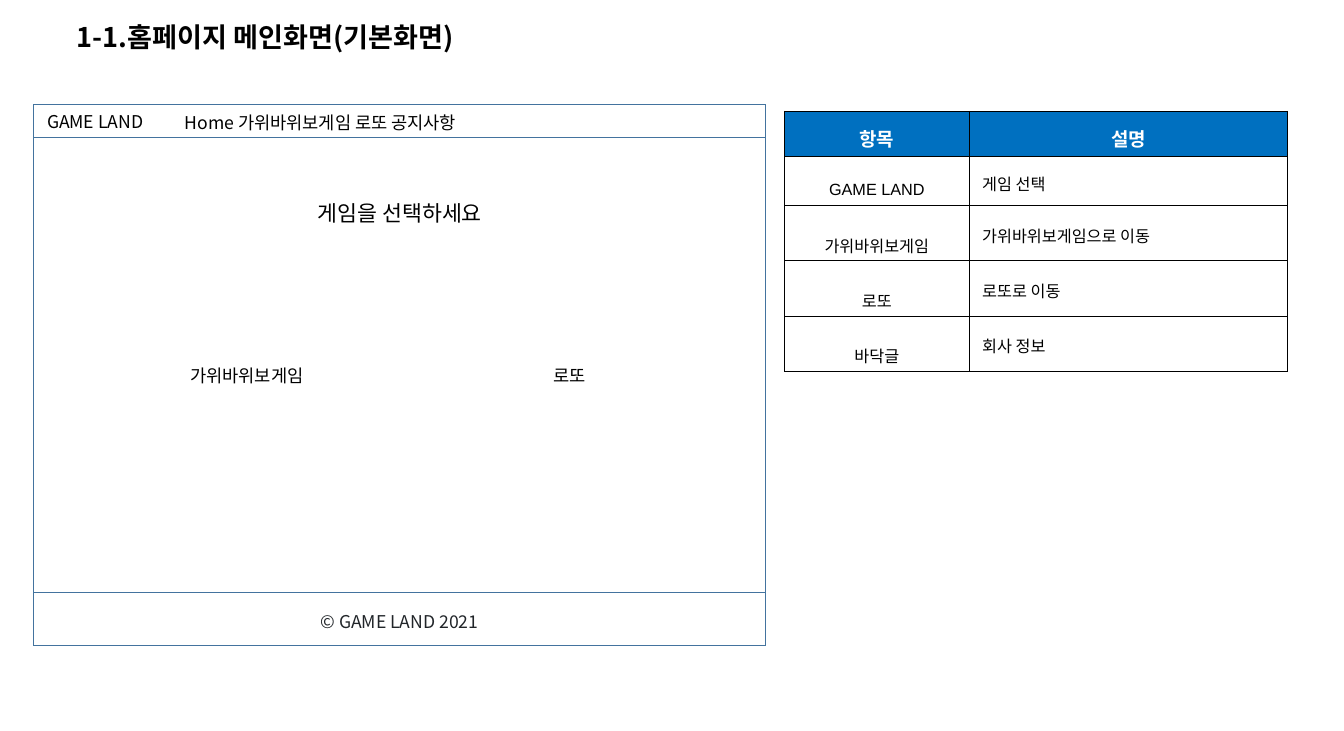
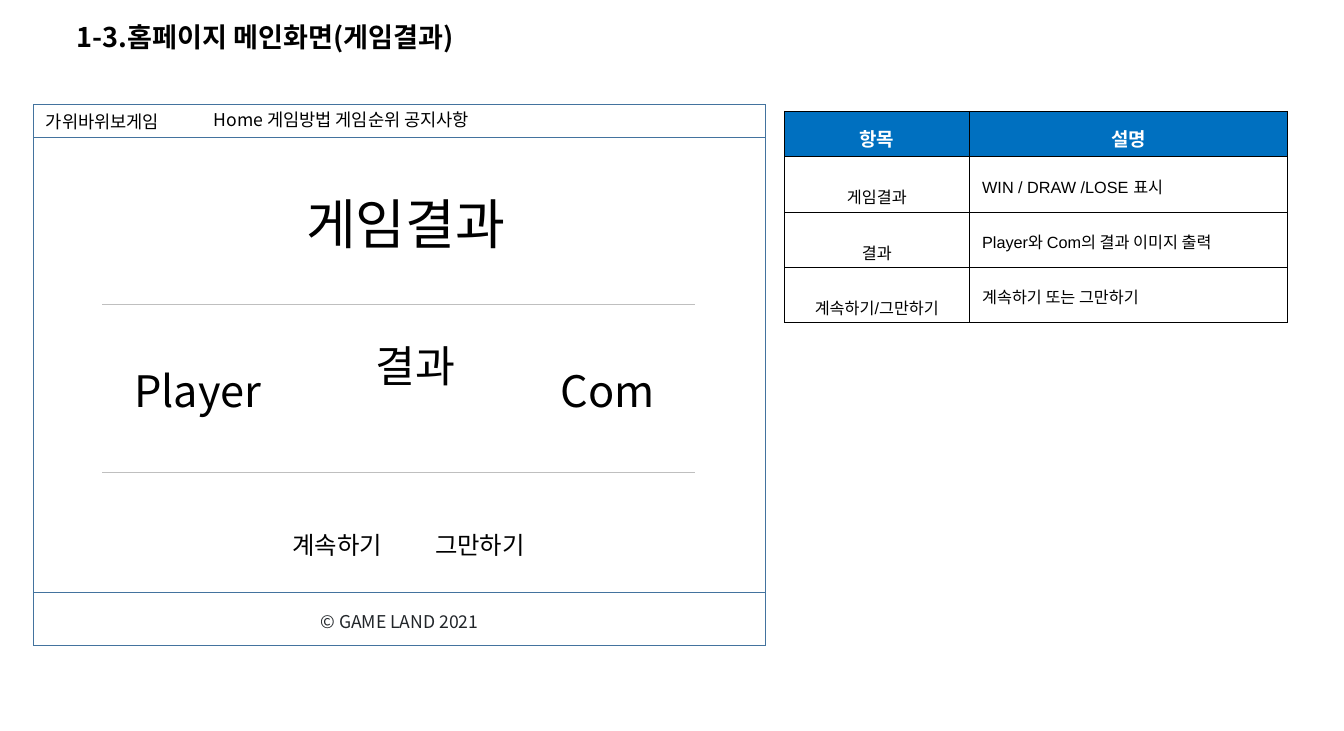
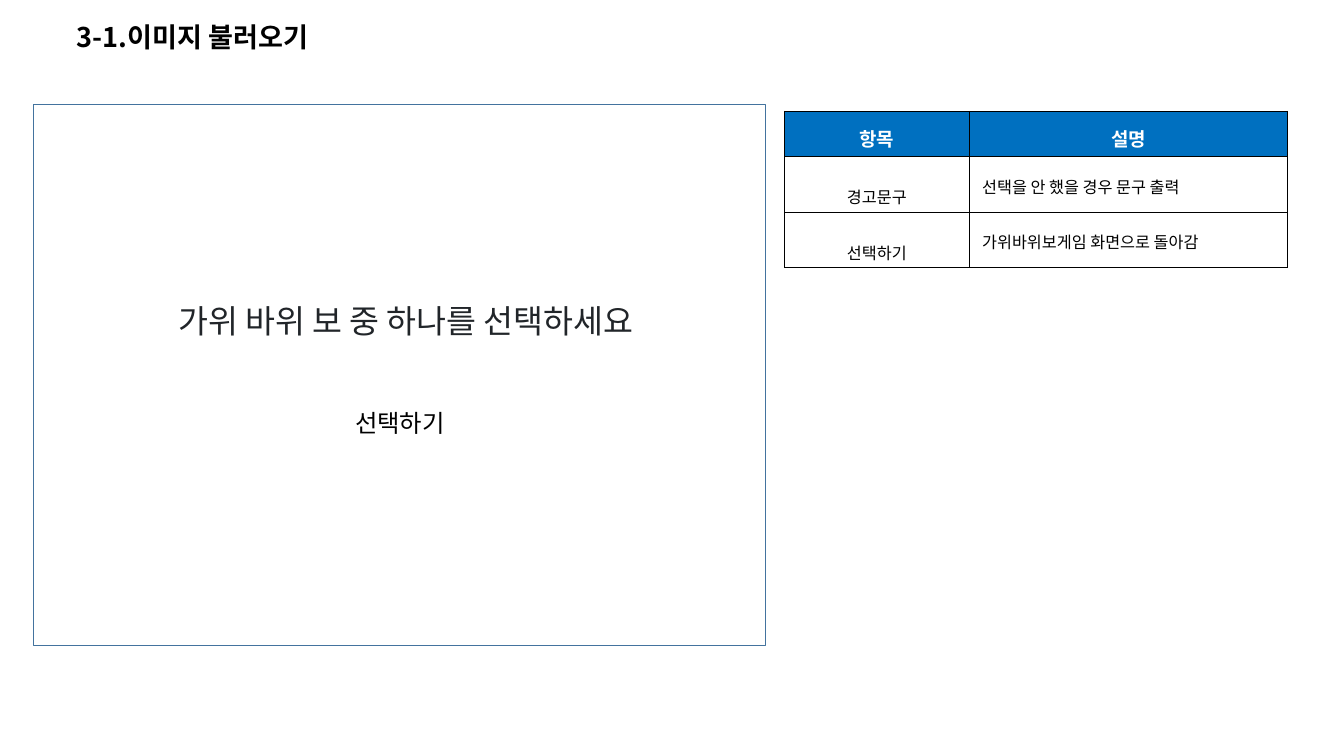
from dataclasses import dataclass

from lxml import etree
from pptx import Presentation
from pptx.dml.color import RGBColor
from pptx.enum.shapes import MSO_CONNECTOR, MSO_SHAPE
from pptx.enum.text import MSO_ANCHOR, MSO_AUTO_SIZE, PP_ALIGN
from pptx.oxml.ns import qn
from pptx.util import Emu, Inches, Pt

CENTER, LEFT = PP_ALIGN.CENTER, PP_ALIGN.LEFT
MIDDLE, TOP = MSO_ANCHOR.MIDDLE, MSO_ANCHOR.TOP
FIT_SHAPE = MSO_AUTO_SIZE.SHAPE_TO_FIT_TEXT
RECTANGLE, STRAIGHT = MSO_SHAPE.RECTANGLE, MSO_CONNECTOR.STRAIGHT

SLIDE_WIDTH, SLIDE_HEIGHT = Inches(13.78), Inches(7.5)


# Shared look
@dataclass(frozen=True)
class Theme:
    font: str = "Noto Sans CJK KR"
    table_font: str = "Arial"
    black: str = "000000"
    white: str = "FFFFFF"
    ink: str = "212529"
    header: str = "0070C0"
    frame: str = "43739E"
    divider: str = "BFBFBF"
    title: float = 20
    small: float = 13
    prompt: float = 16
    button: float = 18
    question: float = 24
    score: float = 32
    result: float = 40
    table_head: float = 14
    table_body: float = 12
    frame_line: float = 1
    divider_line: float = 0.5
    cell_line: float = 0.25


THEME = Theme()


# Slide grid: 100 columns by 100 rows
def across(columns: float) -> Emu:
    return Emu(round(SLIDE_WIDTH * columns / 100))


def down(rows: float) -> Emu:
    return Emu(round(SLIDE_HEIGHT * rows / 100))


@dataclass(frozen=True)
class Area:
    left: float
    top: float
    width: float
    height: float

    def lengths(self) -> tuple[Emu, Emu, Emu, Emu]:
        return across(self.left), down(self.top), across(self.width), down(self.height)


@dataclass(frozen=True)
class Label:
    text: str
    left: float
    top: float
    width: float
    size: float = THEME.small
    color: str = THEME.black
    wrap: bool = True


@dataclass(frozen=True)
class Screen:
    title: str
    labels: tuple[Label, ...]
    items: tuple[tuple[str, str], ...]
    bars: bool = True
    dividers: tuple[float, ...] = ()


TITLE = Area(5, 2.8, 86.28, 5.07)
FRAME = Area(2.47, 14.27, 54.5, 74)
MENU_BAR = Area(FRAME.left, FRAME.top, FRAME.width, 4.53)
FOOTER_BAR = Area(FRAME.left, 81.07, FRAME.width, 7.2)
FOOTER = Label("© GAME LAND 2021", FRAME.left, 82.93, FRAME.width, color=THEME.ink)
DIVIDER_LEFT, DIVIDER_RIGHT = 7.62, 51.74
TABLE_LEFT, TABLE_TOP = 58.35, 15.2
TABLE_COLUMNS = (13.79, 23.66)
TABLE_HEADINGS = ("항목", "설명")
LOW_ROW, HIGH_ROW = 6.22, 7.55
CELL_MARGIN_X, CELL_MARGIN_Y = 0.94, 0.67


# Drawing functions
def write_text(frame, text: str, *, size: float, color: str, font: str = THEME.font,
               bold: bool = False, align: PP_ALIGN = LEFT, spacing: float = 1.0,
               before: int = 0, after: int = 0) -> None:
    """Write one paragraph; before and after are percentages of a line."""
    para = frame.paragraphs[0]
    para.alignment = align
    para.line_spacing = spacing
    settings = para._p.get_or_add_pPr()
    for tag, percent in (("a:spcBef", before), ("a:spcAft", after)):
        gap = etree.SubElement(settings, qn(tag))
        etree.SubElement(gap, qn("a:spcPct"), val=str(percent * 1000))
    span = para.add_run()
    span.text = text
    span.font.size = Pt(size)
    span.font.bold = bold
    span.font.name = font
    span.font.color.rgb = RGBColor.from_string(color)
    etree.SubElement(span._r.get_or_add_rPr(), qn("a:ea"), typeface=THEME.font)


def add_title(page, text: str) -> None:
    frame = page.shapes.add_textbox(*TITLE.lengths()).text_frame
    frame.word_wrap = True
    frame.vertical_anchor = MIDDLE
    write_text(frame, text, size=THEME.title, color=THEME.black, bold=True, spacing=0.9)


def add_label(page, label: Label) -> None:
    height = Pt(label.size * 1.2) + Inches(0.1)
    box = page.shapes.add_textbox(across(label.left), down(label.top),
                                  across(label.width), height)
    frame = box.text_frame
    frame.word_wrap = label.wrap
    frame.auto_size = FIT_SHAPE
    frame.vertical_anchor = TOP
    write_text(frame, label.text, size=label.size, color=label.color,
               align=CENTER, before=30)


def add_outline(page, area: Area) -> None:
    box = page.shapes.add_shape(RECTANGLE, *area.lengths())
    box.shadow.inherit = False
    box.fill.background()
    box.line.color.rgb = RGBColor.from_string(THEME.frame)
    box.line.width = Pt(THEME.frame_line)


def add_divider(page, row: float) -> None:
    line = page.shapes.add_connector(STRAIGHT, across(DIVIDER_LEFT), down(row),
                                     across(DIVIDER_RIGHT), down(row))
    line.line.color.rgb = RGBColor.from_string(THEME.divider)
    line.line.width = Pt(THEME.divider_line)
    etree.SubElement(line._element.spPr, qn("a:effectLst"))


def style_cell(cell, fill: str) -> None:
    cell.vertical_anchor = MIDDLE
    cell.margin_left = cell.margin_right = across(CELL_MARGIN_X)
    cell.margin_top = cell.margin_bottom = down(CELL_MARGIN_Y)
    settings = cell._tc.get_or_add_tcPr()
    for side in ("a:lnL", "a:lnR", "a:lnT", "a:lnB"):
        border = etree.SubElement(settings, qn(side), w=str(Pt(THEME.cell_line)))
        paint = etree.SubElement(border, qn("a:solidFill"))
        etree.SubElement(paint, qn("a:srgbClr"), val=THEME.black)
    cell.fill.solid()
    cell.fill.fore_color.rgb = RGBColor.from_string(fill)


def add_item_table(page, items: tuple[tuple[str, str], ...]) -> None:
    # Rows named in Latin letters need less height
    heights = [LOW_ROW] + [LOW_ROW if name.isascii() else HIGH_ROW for name, _ in items]
    area = Area(TABLE_LEFT, TABLE_TOP, sum(TABLE_COLUMNS), sum(heights))
    table = page.shapes.add_table(len(heights), len(TABLE_COLUMNS), *area.lengths()).table
    table.horz_banding = False
    for column, width in zip(table.columns, TABLE_COLUMNS):
        column.width = across(width)
    for row, height in zip(table.rows, heights):
        row.height = down(height)

    for column, heading in enumerate(TABLE_HEADINGS):
        cell = table.cell(0, column)
        style_cell(cell, THEME.header)
        write_text(cell.text_frame, heading, size=THEME.table_head, color=THEME.white,
                   font=THEME.table_font, bold=True, align=CENTER, spacing=1.3, after=20)
    for row, item in enumerate(items, start=1):
        for column, (text, align, spacing) in enumerate(zip(item, (CENTER, LEFT), (2.0, 1.2))):
            cell = table.cell(row, column)
            style_cell(cell, THEME.white)
            write_text(cell.text_frame, text, size=THEME.table_body, color=THEME.black,
                       font=THEME.table_font, align=align, spacing=spacing, before=10)


def add_screen(deck, screen: Screen) -> None:
    page = deck.slides.add_slide(deck.slide_layouts[6])
    add_title(page, screen.title)
    add_item_table(page, screen.items)
    add_outline(page, FRAME)
    if screen.bars:
        add_outline(page, MENU_BAR)
        add_outline(page, FOOTER_BAR)
        add_label(page, FOOTER)
    for row in screen.dividers:
        add_divider(page, row)
    for label in screen.labels:
        add_label(page, label)


# Content
SCREENS = (
    Screen(
        title="1-1.홈페이지 메인화면(기본화면)",
        labels=(
            Label("GAME LAND", 2.47, 14.53, 9.22, wrap=False),
            Label("Home 가위바위보게임 로또 공지사항", 11.97, 14.67, 23.73, wrap=False),
            Label("게임을 선택하세요", 22.28, 26.67, 14.95, THEME.prompt, wrap=False),
            Label("가위바위보게임", 12.99, 49.2, 10.74, wrap=False),
            Label("로또", 40.28, 49.2, 4.14, wrap=False),
        ),
        items=(
            ("GAME LAND", "게임 선택"),
            ("가위바위보게임", "가위바위보게임으로 이동"),
            ("로또", "로또로 이동"),
            ("바닥글", "회사 정보"),
        ),
    ),
    Screen(
        title="1-3.홈페이지 메인화면(게임결과)",
        labels=(
            Label("가위바위보게임", 2.25, 14.53, 10.74, wrap=False),
            Label("Home 게임방법 게임순위 공지사항", 14.22, 14.27, 22.35, wrap=False),
            Label("게임결과", 12.99, 25.33, 34.4, THEME.result),
            Label("Player", 8.27, 49.2, 12.92, THEME.score),
            Label("Com", 38.75, 49.2, 12.92, THEME.score),
            Label("결과", 24.46, 45.73, 12.92, THEME.score),
            Label("계속하기", 19.59, 71.87, 11.03, THEME.button),
            Label("그만하기", 30.19, 71.87, 11.03, THEME.button),
        ),
        items=(
            ("게임결과", "WIN / DRAW /LOSE 표시"),
            ("결과", "Player와 Com의 결과 이미지 출력"),
            ("계속하기/그만하기", "계속하기 또는 그만하기"),
        ),
        dividers=(41.6, 64.67),
    ),
    Screen(
        title="3-1.이미지 불러오기",
        labels=(
            Label("가위 바위 보 중 하나를 선택하세요", 10.01, 40.53, 40.35,
                  THEME.question, THEME.ink),
            Label("선택하기", 24.24, 55.2, 11.03, THEME.button),
        ),
        items=(
            ("경고문구", "선택을 안 했을 경우 문구 출력"),
            ("선택하기", "가위바위보게임 화면으로 돌아감"),
        ),
        bars=False,
    ),
)


def main() -> None:
    deck = Presentation()
    deck.slide_width, deck.slide_height = SLIDE_WIDTH, SLIDE_HEIGHT
    for screen in SCREENS:
        add_screen(deck, screen)
    deck.save("out.pptx")


main()
